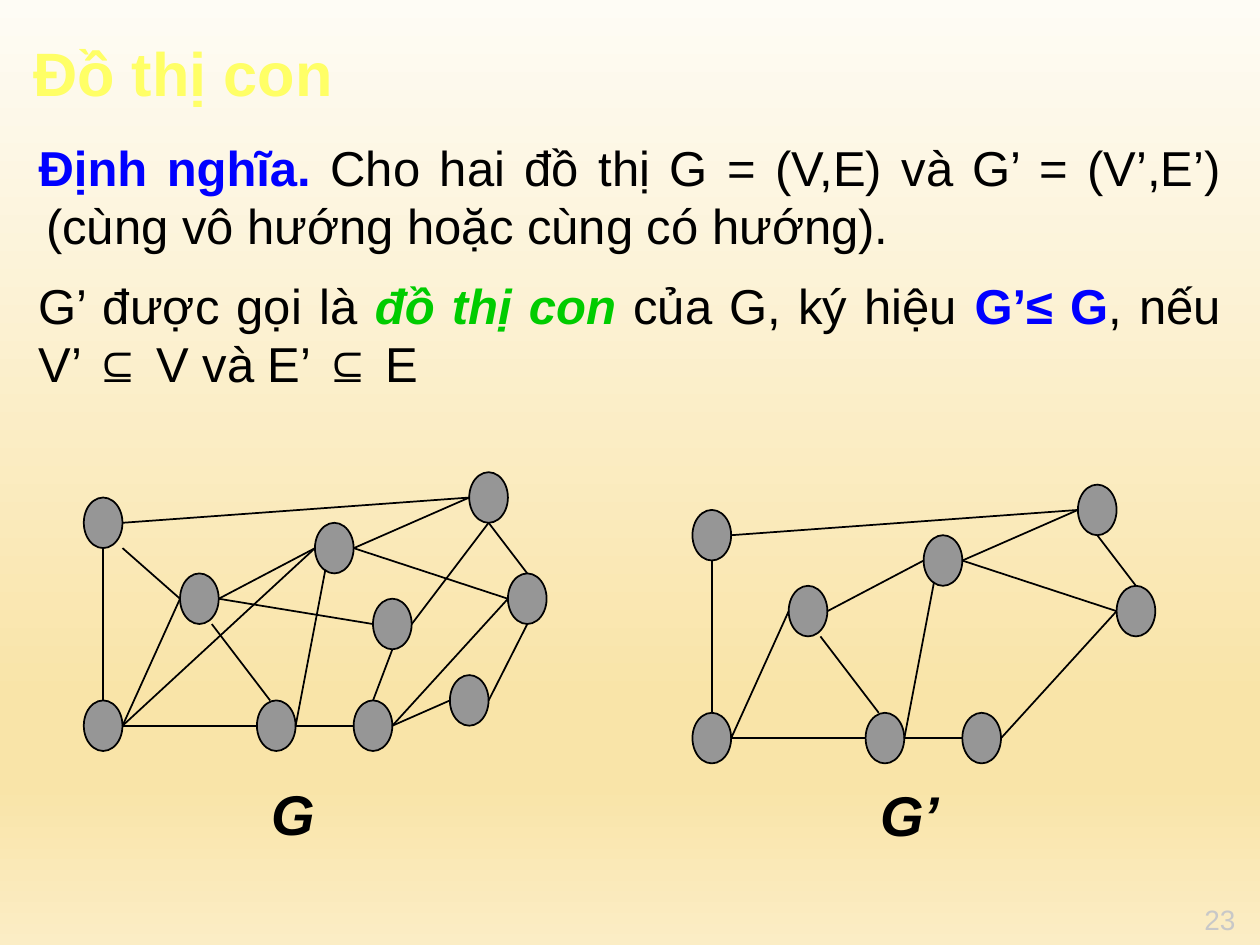
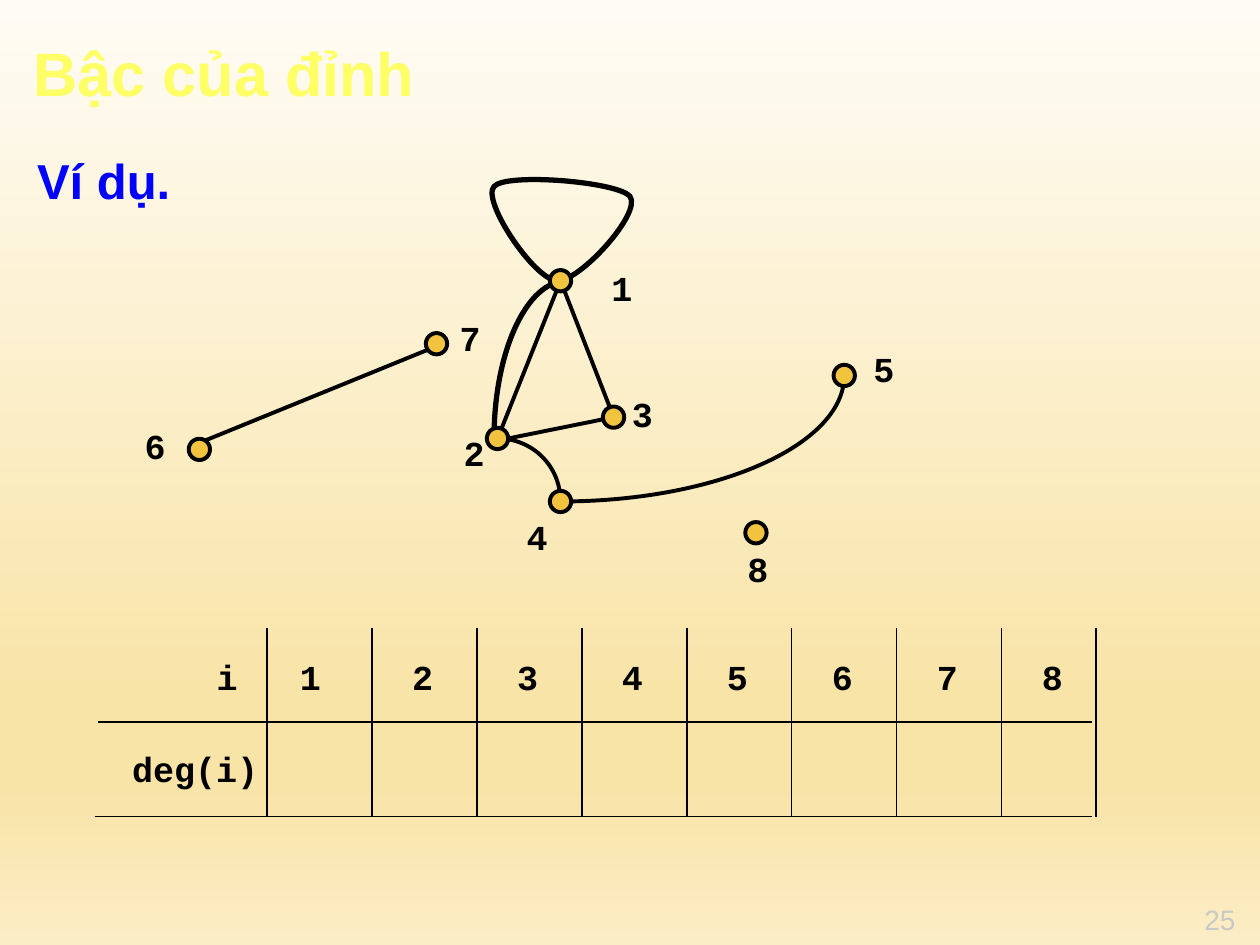
from lxml.etree import SubElement
from pptx import Presentation
from pptx.dml.color import RGBColor
from pptx.enum.shapes import MSO_CONNECTOR as Connector, MSO_SHAPE as Shape
from pptx.enum.text import MSO_ANCHOR as Anchor, PP_ALIGN as Align
from pptx.oxml.ns import qn
from pptx.util import Cm, Pt

BLACK = RGBColor(0x00, 0x00, 0x00)
BLUE = RGBColor(0x00, 0x00, 0xFF)
GREEN = RGBColor(0x00, 0xCC, 0x00)
YELLOW = RGBColor(0xFF, 0xFF, 0x66)
PALE_GRAY = RGBColor(0xC8, 0xC8, 0xC8)
NODE_GRAY = RGBColor(0x96, 0x96, 0x96)
NODE_GOLD = RGBColor(0xF2, 0xC3, 0x3E)
BACKGROUND_STOPS = [
    (0, RGBColor(0xFE, 0xFC, 0xF5)),
    (74, RGBColor(0xF9, 0xE4, 0xA8)),
    (83, RGBColor(0xF9, 0xE4, 0xA8)),
    (100, RGBColor(0xFB, 0xED, 0xC5)),
]
MONO = dict(wrap=False, font="Courier New", size=20, bold=True, align=Align.CENTER)

KEY_BLUE = dict(bold=True, color=BLUE)
DEFINITION = [
    [("Định nghĩa. ", KEY_BLUE),
     ("Cho hai đồ thị G = (V,E) và G’ = (V’,E’) (cùng vô hướng hoặc cùng có hướng). ", {})],
    [("G’ được gọi là ", {}),
     ("đồ thị con ", dict(bold=True, italic=True, color=GREEN)),
     ("của G, ký hiệu ", {}),
     ("G’≤ G", KEY_BLUE),
     (", nếu V’ ⊆ V và E’ ⊆ E", {})],
]

NODE_WIDTH, NODE_HEIGHT = 0.78, 1.02
GRAPH_NODES = {
    "a": (2.08, 10.54), "b": (2.08, 14.63), "c": (5.57, 14.63), "d": (6.74, 11.05),
    "e": (9.46, 14.12), "f": (9.85, 10.03), "g": (4.02, 12.07), "h": (7.91, 12.58),
    "k": (7.52, 14.63), "m": (10.63, 12.07),
}
ANCHORS = {
    "top": (0, -0.5), "left": (-0.5, 0), "bottom": (0, 0.5), "right": (0.5, 0),
    "corner": (0.5, 0.5), "lower left": (-0.23, 0.42),
    "lower right": (0.32, 0.5), "upper left": (-0.16, -0.5),
}
GRAPH_EDGES = [
    ("a", "right", "f", "left"), ("b", "right", "g", "left"),
    ("g", "right", "d", "left"), ("a", "corner", "g", "left"),
    ("b", "right", "c", "left"), ("b", "top", "a", "bottom"),
    ("g", "right", "h", "left"), ("k", "right", "m", "left"),
    ("c", "right", "d", "lower left"), ("d", "right", "m", "left"),
    ("d", "right", "f", "left"), ("g", "lower right", "c", "upper left"),
    ("c", "right", "k", "left"), ("k", "right", "e", "left"),
    ("k", "top", "h", "bottom"), ("h", "right", "f", "bottom"),
    ("e", "right", "m", "bottom"), ("m", "top", "f", "bottom"),
    ("b", "right", "d", "left"),
]
GRAPHS = [
    dict(shift=(0, 0), without_nodes="", without_edges=[],
         name="G", name_box=(5.14, 15.24, 1.55, 2.29)),
    dict(shift=(12.27, 0.25), without_nodes="eh", without_edges=["ag", "bd"],
         name="G’", name_box=(17.48, 15.6, 1.73, 1.63)),
]

VERTEX_SIZE = 0.43
LABEL_SIZE = (0.94, 1.09)
VERTICES = {
    "1": ((11.3, 5.66), (12.07, 5.25)), "2": ((10.03, 8.84), (9.09, 8.57)),
    "3": ((12.37, 8.41), (12.48, 7.79)), "4": ((11.3, 10.11), (10.36, 10.27)),
    "5": ((17.02, 7.57), (17.35, 6.88)), "6": ((4.02, 9.06), (2.66, 8.43)),
    "7": ((8.8, 6.93), (9.01, 6.25)), "8": ((15.24, 10.74), (14.81, 10.92)),
}
STRAIGHT_EDGES = [
    ((10.03, 8.84), (11.3, 5.66)), ((11.3, 5.66), (12.37, 8.41)),
    ((10.24, 8.84), (12.37, 8.41)), ((4.11, 8.89), (8.92, 6.93)),
]
CURVED_EDGES = [
    (3, [(11.23, 5.66), (10.77, 5.64), (9.7, 4.04), (9.96, 3.76),
         (10.19, 3.48), (12.45, 3.66), (12.7, 3.96),
         (12.95, 4.29), (11.68, 5.69), (11.23, 5.66)]),
    (3, [(11.43, 5.66), (10.62, 5.66), (9.96, 7.09), (9.96, 8.84)]),
    (2.25, [(10.03, 8.84), (10.74, 8.84), (11.3, 9.4), (11.3, 10.11)]),
    (2.25, [(11.3, 10.11), (14.45, 10.11), (17.02, 8.97), (17.02, 7.57)]),
]

GRID_TOP, GRID_MIDDLE, GRID_BOTTOM = 12.65, 14.55, 16.46
GRID_RIGHT = 22.02
FIRST_RULE, EIGHTH_RULE, LAST_RULE = 5.38, 20.19, 22.1
RULE_STEP = (EIGHTH_RULE - FIRST_RULE) / 7
HEADER_TOP = 13.08
HEADER_LEFTS = [4.11, 5.79] + [8.05 + RULE_STEP * index for index in range(7)]
DEGREE_BOX = (2.41, 14.94, 3.05, 1.09)


def write(frame, text, font="Arial", size=28, color=BLACK, bold=False, italic=False,
          align=Align.LEFT, space_after=0, hanging=0):
    paragraphs = [[(text, {})]] if isinstance(text, str) else text
    for index, runs in enumerate(paragraphs):
        paragraph = frame.paragraphs[0] if index == 0 else frame.add_paragraph()
        paragraph.alignment = align
        paragraph.space_after = Pt(space_after)
        if hanging and index == 0:
            properties = paragraph._p.get_or_add_pPr()
            properties.set("marL", str(Cm(hanging)))
            properties.set("indent", str(-Cm(hanging)))
        for words, changes in runs:
            style = dict(bold=bold, italic=italic, color=color) | changes
            run = paragraph.add_run()
            run.text = words
            run.font.name, run.font.size = font, Pt(size)
            run.font.bold, run.font.italic = style["bold"], style["italic"]
            run.font.color.rgb = style["color"]


def add_text(slide, text, box, wrap=True, anchor=Anchor.TOP, inset=None, **style):
    frame = slide.shapes.add_textbox(*map(Cm, box)).text_frame
    frame.word_wrap = wrap
    frame.vertical_anchor = anchor
    if inset is not None:
        frame.margin_left = frame.margin_right = Cm(inset)
        frame.margin_top = frame.margin_bottom = Cm(inset)
    write(frame, text, **style)


def add_background(slide):
    fill = slide.background.fill
    fill.gradient()
    fill.gradient_angle = 270
    stops = slide.element.find(".//" + qn("a:gsLst"))
    for stop in list(stops):
        stops.remove(stop)
    for position, color in BACKGROUND_STOPS:
        stop = SubElement(stops, qn("a:gs"), pos=str(position * 1000))
        SubElement(stop, qn("a:srgbClr"), val=str(color))


def add_slide(presentation, title, number):
    slide = presentation.slides.add_slide(presentation.slide_layouts[6])
    add_background(slide)
    add_text(slide, number, (24.28, 18.2, 0.69, 0.69), inset=0, size=16, color=PALE_GRAY)
    add_text(slide, title, (0.42, 0.58, 16.31, 1.75), size=35, bold=True, color=YELLOW)
    return slide


def outline(shape, width):
    shape.line.color.rgb = BLACK
    shape.line.width = Pt(width)


def add_node(slide, center, width, height, fill, line_width):
    x, y = center
    box = (x - width / 2, y - height / 2, width, height)
    node = slide.shapes.add_shape(Shape.OVAL, *map(Cm, box))
    node.shadow.inherit = False
    node.fill.solid()
    node.fill.fore_color.rgb = fill
    outline(node, line_width)


def add_line(slide, start, end, width):
    line = slide.shapes.add_connector(Connector.STRAIGHT, *map(Cm, (*start, *end)))
    outline(line, width)
    SubElement(line._element.spPr, qn("a:effectLst"))


def add_curve(slide, controls, width):
    start, *rest = [(Cm(x), Cm(y)) for x, y in controls]
    builder = slide.shapes.build_freeform(*start)
    builder.add_line_segments(rest, close=controls[0] == controls[-1])
    curve = builder.convert_to_shape()
    segments = list(curve._element.iter(qn("a:lnTo")))
    for index in range(0, len(segments), 3):
        first, *others = segments[index:index + 3]
        bezier = first.makeelement(qn("a:cubicBezTo"))
        first.addprevious(bezier)
        for segment in (first, *others):
            bezier.append(segment[0])
            segment.getparent().remove(segment)
    curve.shadow.inherit = False
    curve.fill.background()
    outline(curve, width)


def add_graph(slide, shift, without_nodes, without_edges, name, name_box):
    centers = {node: (x + shift[0], y + shift[1])
               for node, (x, y) in GRAPH_NODES.items() if node not in without_nodes}
    for center in centers.values():
        add_node(slide, center, NODE_WIDTH, NODE_HEIGHT, NODE_GRAY, 1)

    def anchor_point(node, side):
        (x, y), (across, down) = centers[node], ANCHORS[side]
        return x + across * NODE_WIDTH, y + down * NODE_HEIGHT

    for source, source_side, target, target_side in GRAPH_EDGES:
        if {source, target} <= set(centers) and source + target not in without_edges:
            add_line(slide, anchor_point(source, source_side),
                     anchor_point(target, target_side), 1)
    add_text(slide, name, name_box, wrap=False, anchor=Anchor.MIDDLE,
             size=32, bold=True, italic=True, align=Align.CENTER)


def add_degree_grid(slide):
    for x in [FIRST_RULE + RULE_STEP * index for index in range(8)] + [LAST_RULE]:
        add_line(slide, (x, GRID_TOP), (x, GRID_BOTTOM), 1)
    for left, y in [(1.98, GRID_MIDDLE), (1.91, GRID_BOTTOM)]:
        add_line(slide, (left, y), (GRID_RIGHT, y), 1)
    for left, heading in zip(HEADER_LEFTS, ["i", *VERTICES]):
        add_text(slide, heading, (left, HEADER_TOP, *LABEL_SIZE), **MONO)
    add_text(slide, "deg(i)", DEGREE_BOX, **MONO)


def build_subgraph_slide(presentation):
    slide = add_slide(presentation, "Đồ thị con", "23")
    add_text(slide, DEFINITION, (0.53, 2.64, 24.33, 8.46),
             align=Align.JUSTIFY, space_after=11.6, hanging=0.15)
    for graph in GRAPHS:
        add_graph(slide, **graph)


def build_degree_slide(presentation):
    slide = add_slide(presentation, "Bậc của đỉnh", "25")
    add_text(slide, "Ví dụ.", (0.5, 2.9, 21.59, 1.85), bold=True, color=BLUE)
    for width, controls in CURVED_EDGES:
        add_curve(slide, controls, width)
    for start, end in STRAIGHT_EDGES:
        add_line(slide, start, end, 2.25)
    for label, (center, label_corner) in VERTICES.items():
        add_node(slide, center, VERTEX_SIZE, VERTEX_SIZE, NODE_GOLD, 2.25)
        add_text(slide, label, (*label_corner, *LABEL_SIZE), **MONO)
    add_degree_grid(slide)


def main():
    presentation = Presentation()
    presentation.slide_width, presentation.slide_height = Cm(25.4), Cm(19.05)
    build_subgraph_slide(presentation)
    build_degree_slide(presentation)
    presentation.save("out.pptx")


if __name__ == "__main__":
    main()
